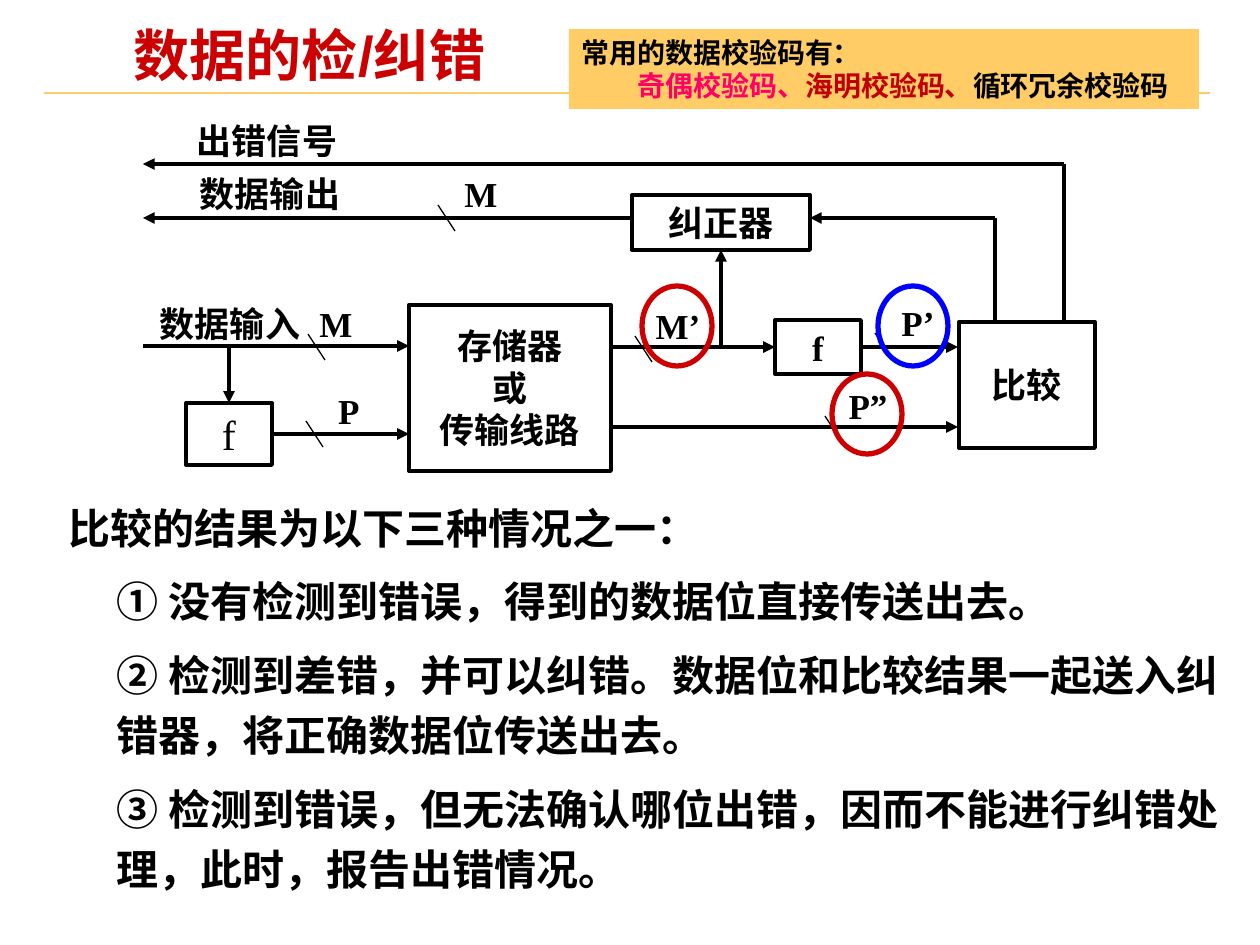
from pptx import Presentation
from pptx.dml.color import RGBColor
from pptx.enum.shapes import MSO_CONNECTOR, MSO_SHAPE
from pptx.enum.text import MSO_ANCHOR, PP_ALIGN
from pptx.oxml.ns import qn
from pptx.util import Emu, Pt
from lxml.etree import SubElement

EMU_PER_PX = 914400 / 126
TOP, LEFT, BOTTOM, RIGHT = range(4)
SERIF = "Times New Roman"
BLACK, RED, GOLD, BLUE = "000000", "CC0000", "FFCC66", "0000FF"


def px(length):
    return Emu(round(length * EMU_PER_PX))


def color(hex_string):
    return RGBColor.from_string(hex_string)


def style(span, size, hex_string=BLACK, name=SERIF, bold=True):
    span.font.size = Pt(size)
    span.font.name = name
    span.font.bold = bold
    span.font.color.rgb = color(hex_string)


def set_frame(frame, margin_x=0, margin_y=0, anchor=MSO_ANCHOR.MIDDLE, wrap=True):
    frame.word_wrap = wrap
    frame.vertical_anchor = anchor
    frame.margin_left = frame.margin_right = px(margin_x)
    frame.margin_top = frame.margin_bottom = px(margin_y)


def set_indent(para, left):
    properties = para._p.get_or_add_pPr()
    properties.set("marL", str(px(left)))
    properties.set("indent", "0")


def add_outline(page, kind, x, y, width, height, line=BLACK, weight=2.25):
    shape = page.shapes.add_shape(kind, px(x), px(y), px(width), px(height))
    shape.shadow.inherit = False
    shape.fill.background()
    shape.line.color.rgb = color(line)
    shape.line.width = Pt(weight)
    return shape


def center_text(frame, text, size, bold=True):
    frame.text = text
    for para in frame.paragraphs:
        para.alignment = PP_ALIGN.CENTER
        for span in para.runs:
            style(span, size, bold=bold)


def add_block(page, text, x, y, width, height, size=20, bold=True):
    block = add_outline(page, MSO_SHAPE.RECTANGLE, x, y, width, height)
    set_frame(block.text_frame)
    center_text(block.text_frame, text, size, bold)
    return block


def add_line(page, start, end, weight=2.25, hex_string=BLACK, arrow=False, begin=None, finish=None):
    """Draw a line; begin and finish are (shape, side) pairs to join."""
    line = page.shapes.add_connector(
        MSO_CONNECTOR.STRAIGHT, *(px(value) for value in (*start, *end)))
    line.line.color.rgb = color(hex_string)
    line.line.width = Pt(weight)
    if arrow:
        SubElement(line.line._get_or_add_ln(), qn("a:tailEnd"), type="triangle")
    SubElement(line._element.spPr, qn("a:effectLst"))
    if begin:
        line.begin_connect(*begin)
    if finish:
        line.end_connect(*finish)
    return line


def add_label(page, text, x, y, width, height=42):
    box = page.shapes.add_textbox(px(x), px(y), px(width), px(height))
    set_frame(box.text_frame, wrap=False)
    center_text(box.text_frame, text, 20)


def add_bus_label(page, text, x, y, slash_shift=-11):
    """Name a bus and strike its line with a short slash."""
    add_label(page, text, x, y, 64)
    left, top = x + slash_shift, y + 32
    add_line(page, (left, top), (left + 17, top + 26), weight=0.75)


def add_title(page):
    add_line(page, (44, 93), (1210, 93), weight=1, hex_string=GOLD)
    box = page.shapes.add_textbox(px(125), px(26), px(440), px(66))
    set_frame(box.text_frame, 9, 4, MSO_ANCHOR.TOP)
    para = box.text_frame.paragraphs[0]
    para.text = "数据的检/纠错"
    para.line_spacing = 0.87
    style(para.runs[0], 32, RED, "Arial")


def add_results(page):
    box = page.shapes.add_textbox(px(60), px(498), px(1200), px(400))
    frame = box.text_frame
    set_frame(frame, 9, 4, MSO_ANCHOR.TOP)
    frame.text = "\n".join([
        "比较的结果为以下三种情况之一：",
        "① 没有检测到错误，得到的数据位直接传送出去。",
        "② 检测到差错，并可以纠错。数据位和比较结果一起送入纠错器，将正确数据位传送出去。",
        "③ 检测到错误，但无法确认哪位出错，因而不能进行纠错处理，此时，报告出错情况。",
    ])
    for para in frame.paragraphs:
        style(para.runs[0], 24, name="Arial")
    for para in frame.paragraphs[1:]:
        set_indent(para, 48)
        para.line_spacing = 1.2
        para.space_before = Pt(7.5)


def add_diagram(page):
    add_block(page, "存储器\n或\n传输线路", 409, 305, 202, 166)
    input_coder = add_block(page, "f", 186, 403, 86, 62, size=24, bold=False)
    output_coder = add_block(page, "f", 775, 320, 86, 54)
    add_block(page, "比较", 959, 322, 136, 126)
    corrector = add_block(page, "纠正器", 632, 195, 178, 55)

    arrows = [
        ((143, 346), (409, 346), None, None),
        ((229, 346), (229, 403), None, (input_coder, TOP)),
        ((272, 434), (409, 434), (input_coder, RIGHT), None),
        ((611, 347), (775, 347), None, (output_coder, LEFT)),
        ((611, 427), (958, 427), None, None),
        ((861, 347), (958, 347), (output_coder, RIGHT), None),
        ((721, 347), (721, 250), None, (corrector, BOTTOM)),
        ((995, 218), (810, 218), None, None),
        ((632, 218), (143, 218), None, None),
        ((1064, 164), (143, 164), None, None),
    ]
    for start, end, begin, finish in arrows:
        add_line(page, start, end, arrow=True, begin=begin, finish=finish)
    for x, top in ((995, 218), (1064, 164)):
        add_line(page, (x, 322), (x, top))

    add_bus_label(page, "M", 304, 302, slash_shift=4)
    for text, x, y in (("P", 317, 389), ("M’", 646, 304), ("P”", 836, 384),
                       ("P’", 886, 301), ("M", 449, 173)):
        add_bus_label(page, text, x, y)
    for text, x, y in (("出错信号", 175, 119), ("数据输出", 178, 173), ("数据输入", 138, 302)):
        add_label(page, text, x, y, 184)
    for x, y, line in ((642, 286, RED), (832, 374, RED), (878, 286, BLUE)):
        add_outline(page, MSO_SHAPE.OVAL, x, y, 70, 80, line, 3)


def add_code_banner(page):
    banner = page.shapes.add_shape(MSO_SHAPE.RECTANGLE, px(569), px(29), px(630), px(80))
    banner.shadow.inherit = False
    banner.fill.solid()
    banner.fill.fore_color.rgb = color(GOLD)
    banner.line.fill.background()
    frame = banner.text_frame
    set_frame(frame, 13, 6, MSO_ANCHOR.TOP)
    heading, codes = frame.paragraphs[0], frame.add_paragraph()
    heading.text = "常用的数据校验码有："
    style(heading.runs[0], 16)
    set_indent(codes, 56)
    for text, hex_string in (("奇偶校验码、", "FF0066"), ("海明校验码、", "C00000"),
                             ("循环冗余校验码", BLACK)):
        span = codes.add_run()
        span.text = text
        style(span, 16, hex_string)
    for para in frame.paragraphs:
        para.alignment = PP_ALIGN.LEFT


def main():
    deck = Presentation()
    deck.slide_width, deck.slide_height = px(1260), px(945)
    page = deck.slides.add_slide(deck.slide_layouts[6])
    add_title(page)
    add_results(page)
    add_diagram(page)
    add_code_banner(page)
    deck.save("out.pptx")


if __name__ == "__main__":
    main()
